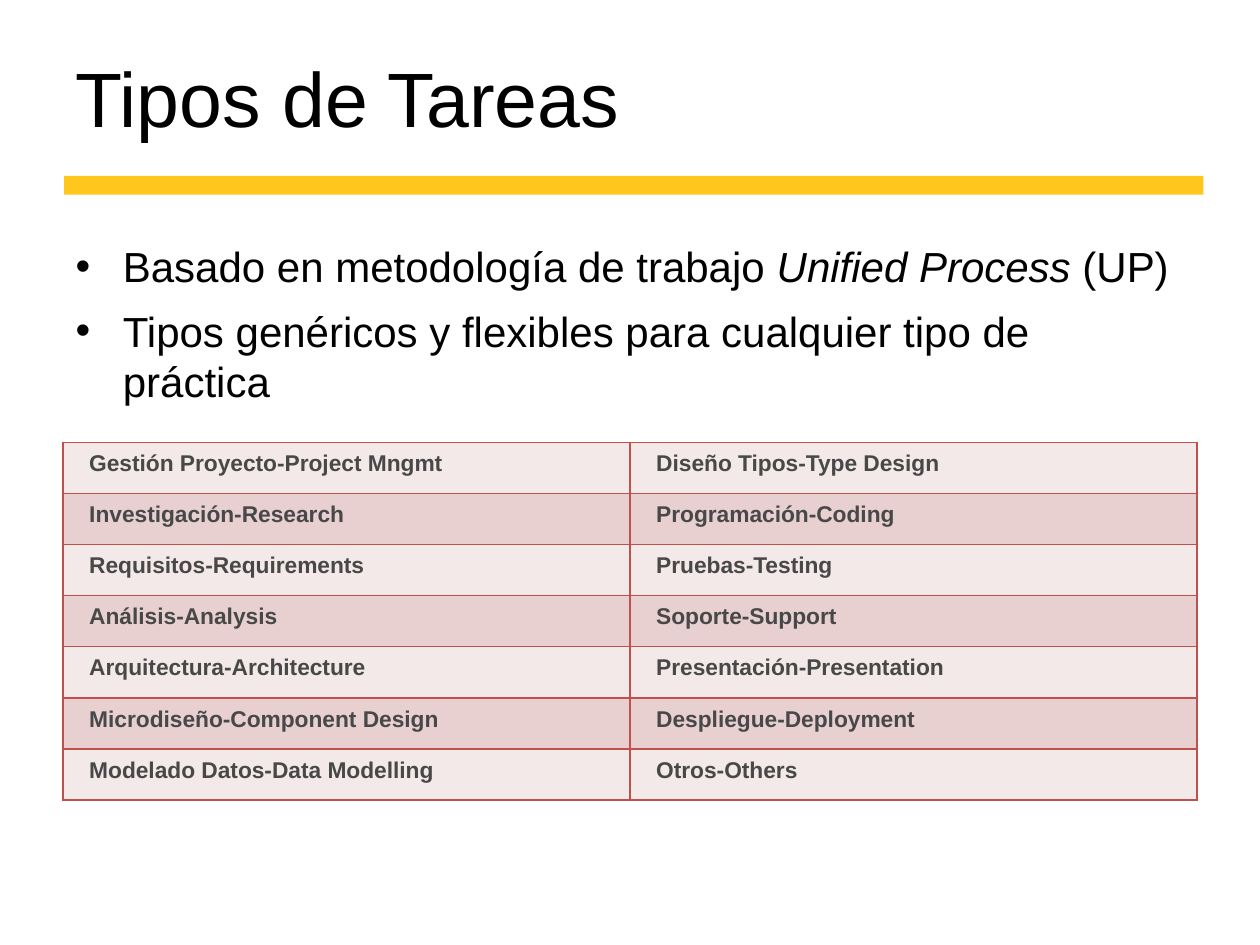
from dataclasses import dataclass

from lxml.etree import SubElement
from pptx import Presentation
from pptx.dml.color import RGBColor
from pptx.enum.shapes import MSO_SHAPE
from pptx.enum.text import MSO_ANCHOR, MSO_AUTO_SIZE, PP_ALIGN
from pptx.oxml.ns import qn
from pptx.util import Pt


@dataclass(frozen=True)
class Theme:
    font: str = "Arial"
    text: str = "000000"
    cell_text: str = "484848"
    bar: str = "FFC61E"
    border: str = "C0504D"
    bands: tuple = ("F4E9E9", "E8D0D0")
    title_size: int = 44
    body_size: int = 24
    cell_size: int = 13


theme = Theme()


def add_run(p, text, size, color, bold=False, italic=False):
    r = p.add_run()
    r.text = text
    r.font.name = theme.font
    r.font.size = Pt(size)
    r.font.bold = bold
    r.font.italic = italic
    r.font.color.rgb = RGBColor.from_string(color)


def set_borders(cell, color, width):
    tcPr = cell._tc.get_or_add_tcPr()
    for i, side in enumerate(("a:lnL", "a:lnR", "a:lnT", "a:lnB")):
        ln = SubElement(tcPr, qn(side), w=str(Pt(width)))
        fill = SubElement(ln, qn("a:solidFill"))
        SubElement(fill, qn("a:srgbClr"), val=color)
        tcPr.insert(i, ln)


prs = Presentation()
prs.slide_width, prs.slide_height = Pt(720), Pt(540)
s = prs.slides.add_slide(prs.slide_layouts[1])
title, body = s.placeholders

# Bar under the title, behind everything else
bar = s.shapes.add_shape(MSO_SHAPE.RECTANGLE, Pt(36.75), Pt(100.5), Pt(651), Pt(10.75))
bar.shadow.inherit = False
bar.fill.solid()
bar.fill.fore_color.rgb = RGBColor.from_string(theme.bar)
bar.line.fill.background()
title._element.addprevious(bar._element)

# Title
title.left, title.top, title.width, title.height = Pt(36), Pt(21.6), Pt(648), Pt(67)
tf = title.text_frame
tf.auto_size = MSO_AUTO_SIZE.NONE
tf.vertical_anchor = MSO_ANCHOR.MIDDLE
p = tf.paragraphs[0]
p.alignment = PP_ALIGN.LEFT
add_run(p, "Tipos de Tareas", theme.title_size, theme.text)

# Bullet list: each item is a list of (text, italic) runs
bullets = [
    [("Basado en metodología de trabajo ", False), ("Unified Process", True), (" (UP)", False)],
    [("Tipos genéricos y flexibles para cualquier tipo de práctica", False)],
]
body.left, body.top, body.width, body.height = Pt(36), Pt(134), Pt(648), Pt(357)
tf = body.text_frame
tf.auto_size = MSO_AUTO_SIZE.NONE
for i, runs in enumerate(bullets):
    p = tf.paragraphs[0] if i == 0 else tf.add_paragraph()
    p.space_before = Pt(8)
    pPr = p._p.get_or_add_pPr()
    pPr.set("marL", str(Pt(27)))
    pPr.set("indent", str(Pt(-27)))
    SubElement(pPr, qn("a:buChar"), char="•")
    for text, italic in runs:
        add_run(p, text, theme.body_size, theme.text, italic=italic)

# Table of task types
tasks = [
    ("Gestión Proyecto-Project Mngmt", "Diseño Tipos-Type Design"),
    ("Investigación-Research", "Programación-Coding"),
    ("Requisitos-Requirements", "Pruebas-Testing"),
    ("Análisis-Analysis", "Soporte-Support"),
    ("Arquitectura-Architecture", "Presentación-Presentation"),
    ("Microdiseño-Component Design", "Despliegue-Deployment"),
    ("Modelado Datos-Data Modelling", "Otros-Others"),
]
row_height = 29.2
table = s.shapes.add_table(
    len(tasks), 2, Pt(36), Pt(252.75), Pt(648), Pt(row_height * len(tasks))
).table
for i, names in enumerate(tasks):
    table.rows[i].height = Pt(row_height)
    for j, name in enumerate(names):
        cell = table.cell(i, j)
        cell.margin_left = cell.margin_right = Pt(5)
        cell.margin_top = cell.margin_bottom = Pt(5)
        cell.fill.solid()
        cell.fill.fore_color.rgb = RGBColor.from_string(theme.bands[i % 2])
        set_borders(cell, theme.border, 1)
        p = cell.text_frame.paragraphs[0]
        pPr = p._p.get_or_add_pPr()
        pPr.set("marL", str(Pt(10)))
        pPr.set("indent", "0")
        add_run(p, name, theme.cell_size, theme.cell_text, bold=True)

prs.save("out.pptx")
